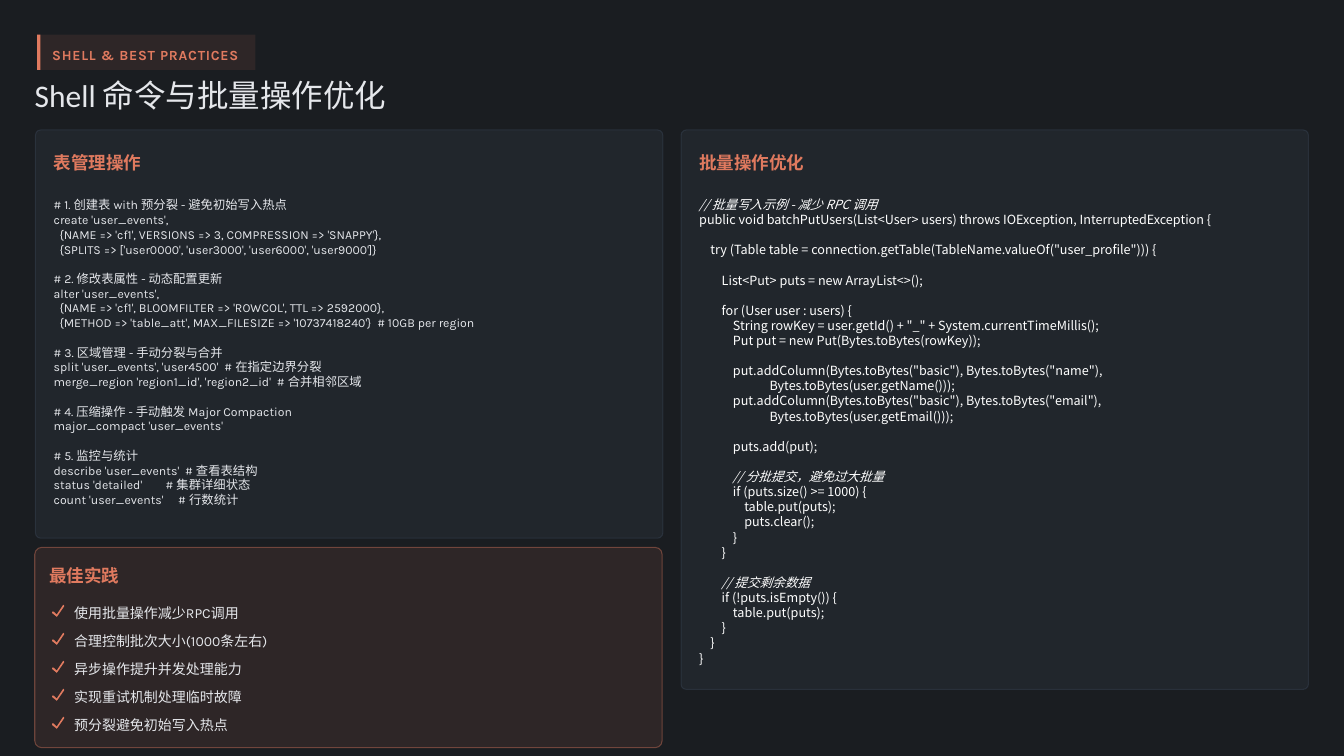
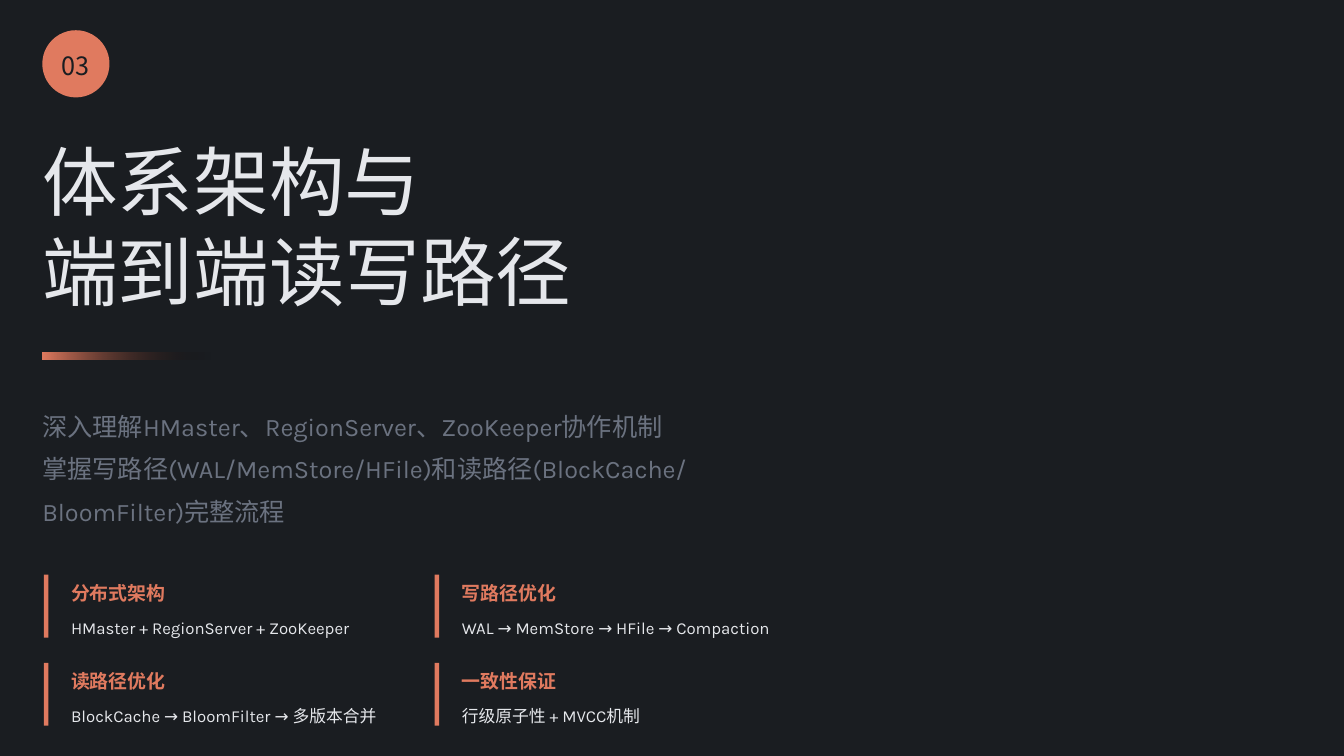
from lxml import etree
from pptx import Presentation
from pptx.dml.color import RGBColor
from pptx.enum import shapes, text
from pptx.oxml import ns
from pptx.util import Pt

DARK = RGBColor(0x1A, 0x1D, 0x21)
CORAL = RGBColor(0xE0, 0x7A, 0x5F)
SLATE = RGBColor(0x3D, 0x4A, 0x5C)
LIGHT = RGBColor(0xE5, 0xE7, 0xEB)
GREY = RGBColor(0x6B, 0x72, 0x80)
WHITE = RGBColor(0xFF, 0xFF, 0xFF)
BLACK = RGBColor(0, 0, 0)
KARLA, NOTO, CALIBRI = "Karla", "Noto Sans CJK SC", "Calibri"
RECT = shapes.MSO_SHAPE.RECTANGLE
ROUNDED = shapes.MSO_SHAPE.ROUNDED_RECTANGLE
OVAL = shapes.MSO_SHAPE.OVAL

SHELL_CODE = [
    "# 1. 创建表 with 预分裂 - 避免初始写入热点",
    "create 'user_events',",
    "  {NAME => 'cf1', VERSIONS => 3, COMPRESSION => 'SNAPPY'},",
    "  {SPLITS => ['user0000', 'user3000', 'user6000', 'user9000']}",
    "",
    "# 2. 修改表属性 - 动态配置更新",
    "alter 'user_events',",
    "  {NAME => 'cf1', BLOOMFILTER => 'ROWCOL', TTL => 2592000},",
    "  {METHOD => 'table_att', MAX_FILESIZE => '10737418240'}  # 10GB per region",
    "",
    "# 3. 区域管理 - 手动分裂与合并",
    "split 'user_events', 'user4500'  # 在指定边界分裂",
    "merge_region 'region1_id', 'region2_id'  # 合并相邻区域",
    "",
    "# 4. 压缩操作 - 手动触发 Major Compaction",
    "major_compact 'user_events'",
    "",
    "# 5. 监控与统计",
    "describe 'user_events'  # 查看表结构",
    "status 'detailed'        # 集群详细状态",
    "count 'user_events'     # 行数统计",
]
JAVA_CODE = [
    '// 批量写入示例 - 减少 RPC 调用',
    'public void batchPutUsers(List<User> users) throws IOException, InterruptedException {',
    '',
    '    try (Table table = connection.getTable(TableName.valueOf("user_profile"))) {',
    '',
    '        List<Put> puts = new ArrayList<>();',
    '',
    '        for (User user : users) {',
    '            String rowKey = user.getId() + "_" + System.currentTimeMillis();',
    '            Put put = new Put(Bytes.toBytes(rowKey));',
    '',
    '            put.addColumn(Bytes.toBytes("basic"), Bytes.toBytes("name"),',
    '                         Bytes.toBytes(user.getName()));',
    '            put.addColumn(Bytes.toBytes("basic"), Bytes.toBytes("email"),',
    '                         Bytes.toBytes(user.getEmail()));',
    '',
    '            puts.add(put);',
    '',
    '            // 分批提交，避免过大批量',
    '            if (puts.size() >= 1000) {',
    '                table.put(puts);',
    '                puts.clear();',
    '            }',
    '        }',
    '',
    '        // 提交剩余数据',
    '        if (!puts.isEmpty()) {',
    '            table.put(puts);',
    '        }',
    '    }',
    '}',
]

# heading, code, left, card height, code height, size, font, colour
CODE_CARDS = [
    ("表管理操作", SHELL_CODE, 33.8, 388.8, 315.4, 11.7, KARLA, LIGHT),
    ("批量操作优化", JAVA_CODE, 648.7, 532.8, 465.8, 12, NOTO, WHITE),
]
PRACTICES = [
    ("使用批量操作减少RPC调用", 165.6),
    ("合理控制批次大小(1000条左右)", 191.5),
    ("异步操作提升并发处理能力", 166.3),
    ("实现重试机制处理临时故障", 166.3),
    ("预分裂避免初始写入热点", 153.4),
]
# Tick outline in hundredths of an inch
TICK = [(15, 2), (16, 3), (16, 4), (7, 17), (6, 18), (5, 17), (0, 13),
        (0, 11), (2, 11), (6, 15), (14, 3)]
TICK_UNIT = Pt(0.72)

SECTION_TITLE = ["体系架构与", "端到端读写路径"]
SECTION_SUMMARY = [
    "深入理解HMaster、RegionServer、ZooKeeper协作机制",
    "掌握写路径(WAL/MemStore/HFile)和读路径(BlockCache/BloomFilter)完整流程",
]
TOPICS = [
    ("分布式架构", "HMaster + RegionServer + ZooKeeper"),
    ("写路径优化", "WAL → MemStore → HFile → Compaction"),
    ("读路径优化", "BlockCache → BloomFilter → 多版本合并"),
    ("一致性保证", "行级原子性 + MVCC机制"),
]


def set_alpha(color_node, percent):
    alpha = etree.SubElement(color_node, ns.qn("a:alpha"))
    alpha.set("val", str(percent * 1000))


def color_nodes(shape):
    return list(shape._element.spPr.iter(ns.qn("a:srgbClr")))


def paint(shape, color):
    shape.shadow.inherit = False
    shape.fill.solid()
    shape.fill.fore_color.rgb = color
    shape.line.fill.background()


def add_block(page, kind, left, top, width, height, color=CORAL):
    block = page.shapes.add_shape(kind, Pt(left), Pt(top), Pt(width), Pt(height))
    paint(block, color)
    return block


def add_card(page, left, top, width, height, color, opacity, radius):
    """Translucent rounded panel with a thin border of the same colour."""
    card = add_block(page, ROUNDED, left, top, width, height, color)
    card.adjustments[0] = radius / min(width, height)
    card.line.color.rgb = color
    card.line.width = Pt(1)
    for node, percent in zip(color_nodes(card), (opacity, 40)):
        set_alpha(node, percent)


def set_font(font, name, size, color, bold=False):
    font.name, font.size, font.bold = name, Pt(size), bold
    font.color.rgb = color
    east_asian = etree.Element(ns.qn("a:ea"), typeface=name)
    font._element.find(ns.qn("a:latin")).addnext(east_asian)


def add_text(page, lines, left, top, width, height, size, color, font=KARLA,
             bold=False, spacing=1.3):
    """Middle-anchored text box; an empty line becomes space before the next."""
    box = page.shapes.add_textbox(Pt(left), Pt(top), Pt(width), Pt(height))
    frame = box.text_frame
    frame.word_wrap = True
    frame.vertical_anchor = text.MSO_ANCHOR.MIDDLE
    frame.margin_left = frame.margin_right = 0
    frame.margin_top = frame.margin_bottom = 0
    para, gap = None, False
    for line in lines:
        if not line:
            gap = True
            continue
        para = frame.add_paragraph() if para else frame.paragraphs[0]
        para.text = line
        para.line_spacing = spacing
        if gap:
            para.space_before = spacing
            gap = False
        set_font(para.font, font, size, color, bold)
    return frame


def add_heading(page, heading, left, top):
    add_text(page, [heading], left, top, 571.7, 23, 16.7, CORAL, bold=True,
             spacing=1.2)


def add_page(deck):
    page = deck.slides.add_slide(deck.slide_layouts[6])
    page.background.fill.solid()
    page.background.fill.fore_color.rgb = DARK
    return page


def add_tick(page, left, top):
    outline = page.shapes.build_freeform(*TICK[0], scale=TICK_UNIT)
    outline.add_line_segments(TICK[1:], close=True)
    paint(outline.convert_to_shape(Pt(left), Pt(top)), CORAL)


def build_shell_page(deck):
    page = add_page(deck)
    tag = add_block(page, RECT, 35.3, 33.1, 208.1, 33.5)
    set_alpha(color_nodes(tag)[0], 10)
    add_block(page, RECT, 35.3, 33.1, 3.2, 33.5)
    label = add_text(page, ["SHELL & BEST PRACTICES"], 49.7, 41, 186.5, 17.3,
                     13.3, CORAL, bold=True)
    label.paragraphs[0].font._element.set("spc", "70")

    title = add_text(page, ["Shell "], 33.1, 76.3, 1228.3, 33.1, 30, LIGHT,
                     CALIBRI, spacing=0.9).paragraphs[0]
    span = title.add_run()
    span.text = "命令与批量操作优化"
    set_font(span.font, NOTO, 30, LIGHT)

    top = 123.8
    for heading, code, left, height, code_height, size, font, color in CODE_CARDS:
        add_card(page, left, top, 597.6, height, SLATE, 20, 5)
        add_heading(page, heading, left + 17.3, top + 17.3)
        frame = add_text(page, code, left + 17.3, top + 54, 569.5,
                         code_height, size, color, font, spacing=Pt(size * 1.2))
        for para in frame.paragraphs:
            para.font.italic = para.text.lstrip().startswith("//")

    add_card(page, 33.1, 521.3, 597.6, 190.8, CORAL, 10, 6.7)
    add_heading(page, "最佳实践", 46.8, 535)
    for row, (practice, width) in enumerate(PRACTICES):
        top = 571.7 + 26.64 * row
        add_tick(page, 49.7, top + 2.9)
        add_text(page, [practice], 70.6, top, width, 20.2, 13.3, LIGHT)


def build_section_page(deck):
    page = add_page(deck)
    add_block(page, OVAL, 40.3, 28.8, 64, 64)
    number = add_text(page, ["03"], 51.8, 44.6, 40.3, 31.7, 24, DARK, NOTO,
                      spacing=1.1)
    number.paragraphs[0].alignment = text.PP_ALIGN.CENTER
    add_text(page, SECTION_TITLE, 40.3, 124.6, 756, 180, 72, LIGHT, NOTO,
             spacing=Pt(86.4))

    rule = add_block(page, RECT, 40.3, 336.2, 160, 6.4)
    rule.fill.gradient()
    rule.fill.gradient_angle = 0
    for stop, color, position in zip(rule.fill.gradient_stops, (CORAL, BLACK), (0, 1)):
        stop.color.rgb = color
        stop.position = position
    set_alpha(color_nodes(rule)[-1], 0)

    add_text(page, SECTION_SUMMARY, 40.3, 382.3, 732.2, 116.6, 24, GREY,
             spacing=1.4)
    for index, (topic, detail) in enumerate(TOPICS):
        row, column = divmod(index, 2)
        left, top = 41.8 + 372.2 * column, 547.2 + 84 * row
        add_block(page, RECT, left, top, 4.3, 60)
        add_text(page, [topic], left + 25.9, top, 329, 28.1, 18, CORAL, bold=True)
        add_text(page, [detail], left + 25.9, top + 36, 328.3, 23.8, 16, LIGHT)


def main():
    deck = Presentation()
    deck.slide_width, deck.slide_height = Pt(1280.16), Pt(720)
    build_shell_page(deck)
    build_section_page(deck)
    deck.save("out.pptx")


if __name__ == "__main__":
    main()
